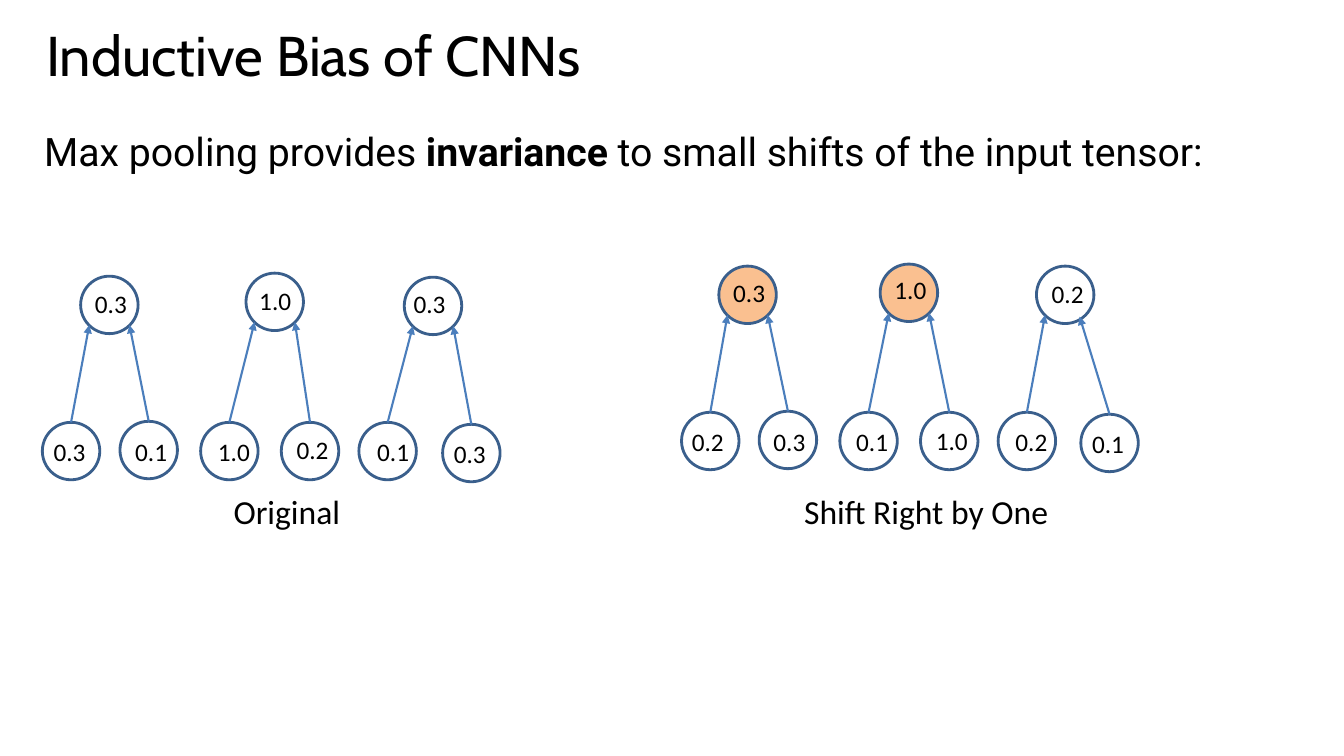
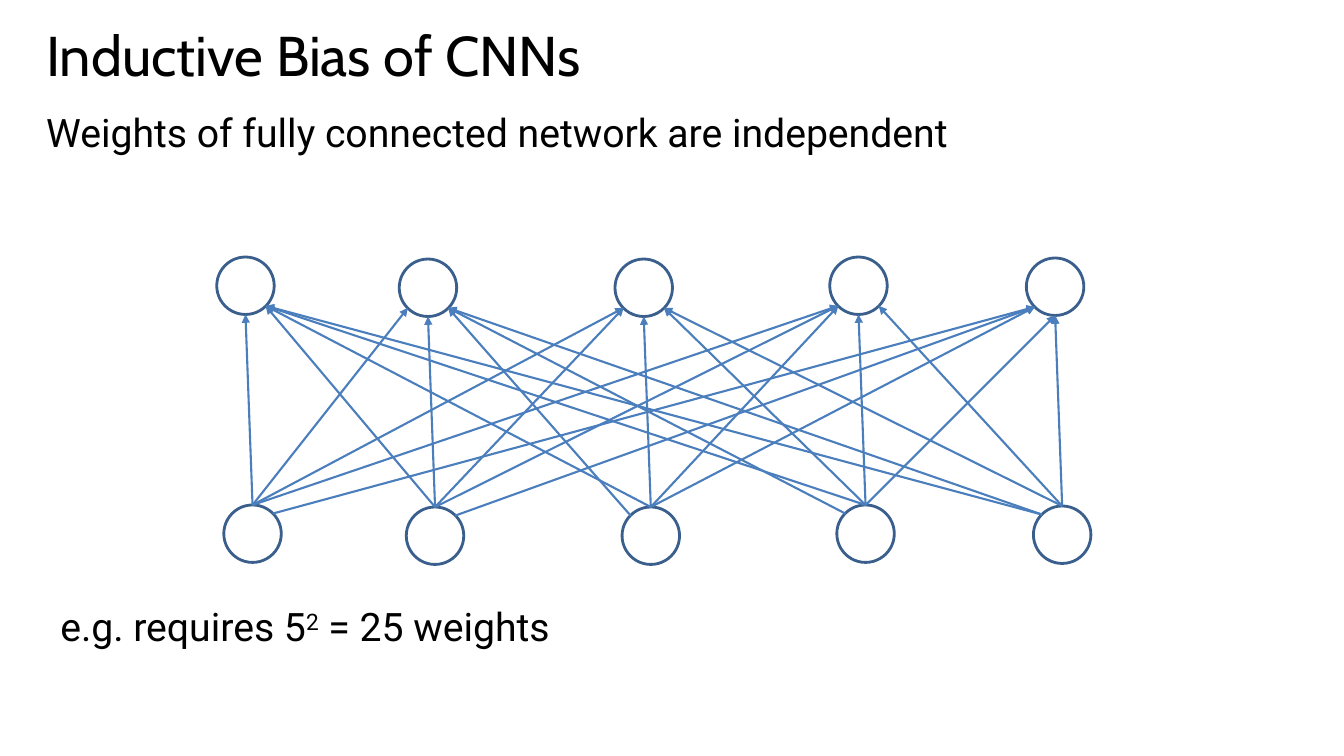
from lxml import etree
from pptx import Presentation
from pptx.dml.color import RGBColor
from pptx.enum import shapes, text
from pptx.oxml import ns
from pptx.util import Inches, Pt

BLACK = RGBColor(0x00, 0x00, 0x00)
OUTLINE = RGBColor(0x3A, 0x5F, 0x8C)
ARROW = RGBColor(0x4B, 0x7E, 0xBC)
ORANGE = RGBColor(0xFA, 0xC0, 0x90)

TITLE = {"name": "Cabin", "size": Pt(40)}
BODY = {"name": "Roboto", "size": Pt(28)}
VALUE = {"name": "Calibri", "size": Pt(18)}
CAPTION = {"name": "Calibri", "size": Pt(24)}
LEFT, CENTER = text.PP_ALIGN.LEFT, text.PP_ALIGN.CENTER

DIAMETER = 0.57
# Points on a circle, as fractions of its width and height
SITES = {
    "top": (0.5, 0), "bottom": (0.5, 1),
    "upper left": (0.15, 0.15), "upper right": (0.85, 0.15),
    "lower left": (0.15, 0.85), "lower right": (0.85, 0.85),
    "lower middle": (0.75, 0.88),
}


def write(page, left, top, width, height, runs, style, align=LEFT):
    """Add a text box with one paragraph; each run is (wording, extra format)."""
    box = page.shapes.add_textbox(Inches(left), Inches(top), Inches(width), Inches(height))
    box.text_frame.word_wrap = True
    para = box.text_frame.paragraphs[0]
    para.alignment = align
    for wording, extra in runs:
        span = para.add_run()
        span.text = wording
        span.font.color.rgb = BLACK
        for name, value in {**style, **extra}.items():
            setattr(span.font, name, value)
    return box


def draw_network(page, inputs, outputs, links):
    """Draw circles at (left, top, fill) and arrows (input, output, start, end)."""
    circles = []
    for left, top, fill in inputs + outputs:
        circle = page.shapes.add_shape(
            shapes.MSO_SHAPE.OVAL, Inches(left), Inches(top), Inches(DIAMETER), Inches(DIAMETER))
        circle.shadow.inherit = False
        circle.line.color.rgb = OUTLINE
        circle.line.width = Pt(2)
        if fill:
            circle.fill.solid()
            circle.fill.fore_color.rgb = fill
        else:
            circle.fill.background()
        circles.append(circle)

    for source, target, start, end in links:
        points = []
        for (left, top, _), site in ((inputs[source], start), (outputs[target], end)):
            across, down = SITES[site]
            points += [Inches(left + across * DIAMETER), Inches(top + down * DIAMETER)]
        arrow = page.shapes.add_connector(shapes.MSO_CONNECTOR.STRAIGHT, *points)
        if start == "top":
            arrow.begin_connect(circles[source], 0)
        arrow.line.color.rgb = ARROW
        arrow.line.width = Pt(1.5)
        etree.SubElement(arrow.line._get_or_add_ln(), ns.qn("a:tailEnd"), type="triangle")
        etree.SubElement(arrow._element.spPr, ns.qn("a:effectLst"))


deck = Presentation()
deck.slide_width, deck.slide_height = Inches(13.33), Inches(7.5)

# Both slides carry the same title
pages = []
for _ in range(2):
    page = deck.slides.add_slide(deck.slide_layouts[6])
    title = write(page, 0.36, 0.23, 12.74, 0.74, [("Inductive Bias of CNNs", {})], TITLE)
    title.text_frame.vertical_anchor = text.MSO_ANCHOR.MIDDLE
    title.text_frame.paragraphs[0].line_spacing = 0.8
    pages.append(page)
pooling, dense = pages

# Slide 1: max pooling before and after a shift
write(pooling, 0.34, 1.21, 12.6, 0.65, [
    ("Max pooling provides ", {}),
    ("invariance", {"bold": True}),
    (" to small shifts of the input tensor:", {}),
], BODY)

# Circles: left, top, fill. Values: wording, left, top.
original = {
    "caption": ("Original", 1.4),
    "inputs": [(0.42, 4.19, None), (1.19, 4.18, None), (1.99, 4.19, None),
               (2.79, 4.19, None), (3.56, 4.19, None), (4.39, 4.21, None)],
    "outputs": [(0.8, 2.74, None), (2.44, 2.71, None), (4.01, 2.75, None)],
    "values": [("0.3", 0.41, 4.28), ("0.1", 1.22, 4.28), ("1.0", 2.04, 4.28),
               ("0.2", 2.82, 4.26), ("0.1", 3.62, 4.28), ("0.3", 4.38, 4.3),
               ("0.3", 0.82, 2.81), ("1.0", 2.45, 2.78), ("0.3", 3.98, 2.81)],
    "last end": "lower right",
}
shifted = {
    "caption": ("Shift Right by One", 7.74),
    "inputs": [(6.76, 4.09, None), (7.53, 4.08, None), (8.33, 4.09, None),
               (9.13, 4.09, None), (9.9, 4.09, None), (10.72, 4.11, None)],
    "outputs": [(7.13, 2.64, ORANGE), (8.73, 2.62, ORANGE), (10.28, 2.64, None)],
    "values": [("0.2", 6.74, 4.18), ("0.3", 7.55, 4.18), ("0.1", 8.37, 4.18),
               ("1.0", 9.16, 4.17), ("0.2", 9.95, 4.18), ("0.1", 10.71, 4.2),
               ("0.3", 7.15, 2.7), ("1.0", 8.75, 2.67), ("0.2", 10.31, 2.71)],
    "last end": "lower middle",
}
for group in (original, shifted):
    ends = ["lower left", "lower right"] * 2 + ["lower left", group["last end"]]
    links = [(i, i // 2, "top", end) for i, end in enumerate(ends)]
    draw_network(pooling, group["inputs"], group["outputs"], links)
    for wording, left, top in group["values"]:
        write(pooling, left, top, 0.56, 0.4, [(wording, {})], VALUE, CENTER)
    wording, left = group["caption"]
    write(pooling, left, 4.82, 2.89, 0.5, [(wording, {})], CAPTION, CENTER)

# Slide 2: every input feeds every output
write(dense, 0.36, 1.03, 12.6, 0.74,
      [("Weights of fully connected network are independent", {})], BODY)

outputs = [(2.15, 2.55, None), (3.96, 2.57, None), (6.1, 2.57, None),
           (8.23, 2.55, None), (10.18, 2.56, None)]
inputs = [(left + 0.07, top + 2.46, None) for left, top, _ in outputs]
side_starts = {(0, 4): "upper right", (1, 4): "upper right", (2, 1): "upper left",
               (3, 1): "upper left", (4, 0): "upper left", (4, 1): "upper left"}
links = []
for source in range(len(inputs)):
    for target in range(len(outputs)):
        if source == target or (source, target) == (3, 4):
            end = "bottom"
        else:
            end = "lower left" if source < target else "lower right"
        links.append((source, target, side_starts.get((source, target), "top"), end))
draw_network(dense, inputs, outputs, links)

formula = write(dense, 0.5, 5.93, 12.6, 0.74,
                [("e.g. requires 5", {}), ("2", {}), (" = 25 weights", {})], BODY)
exponent = formula.text_frame.paragraphs[0].runs[1]
exponent.font._element.set("baseline", "30000")

deck.save("out.pptx")
